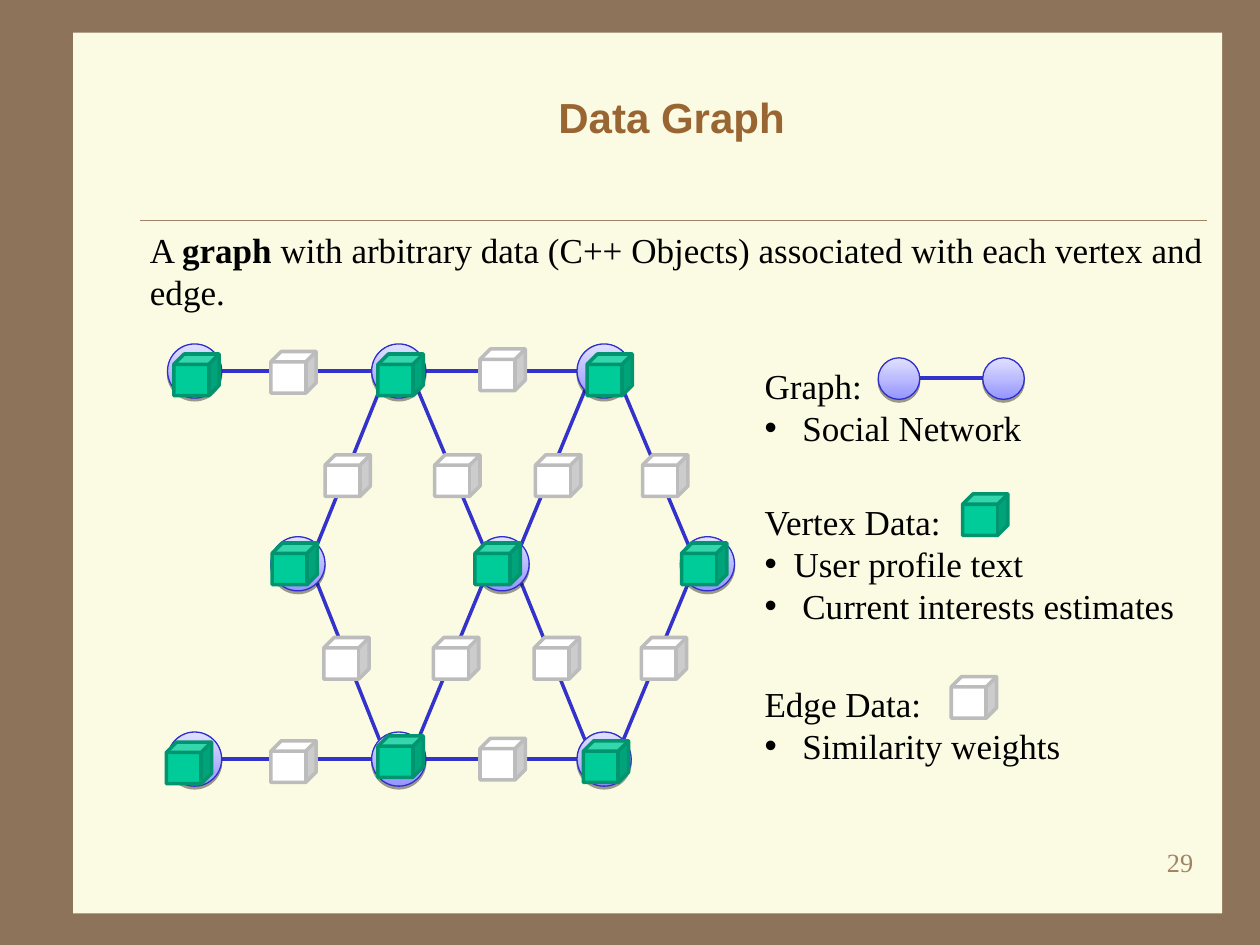
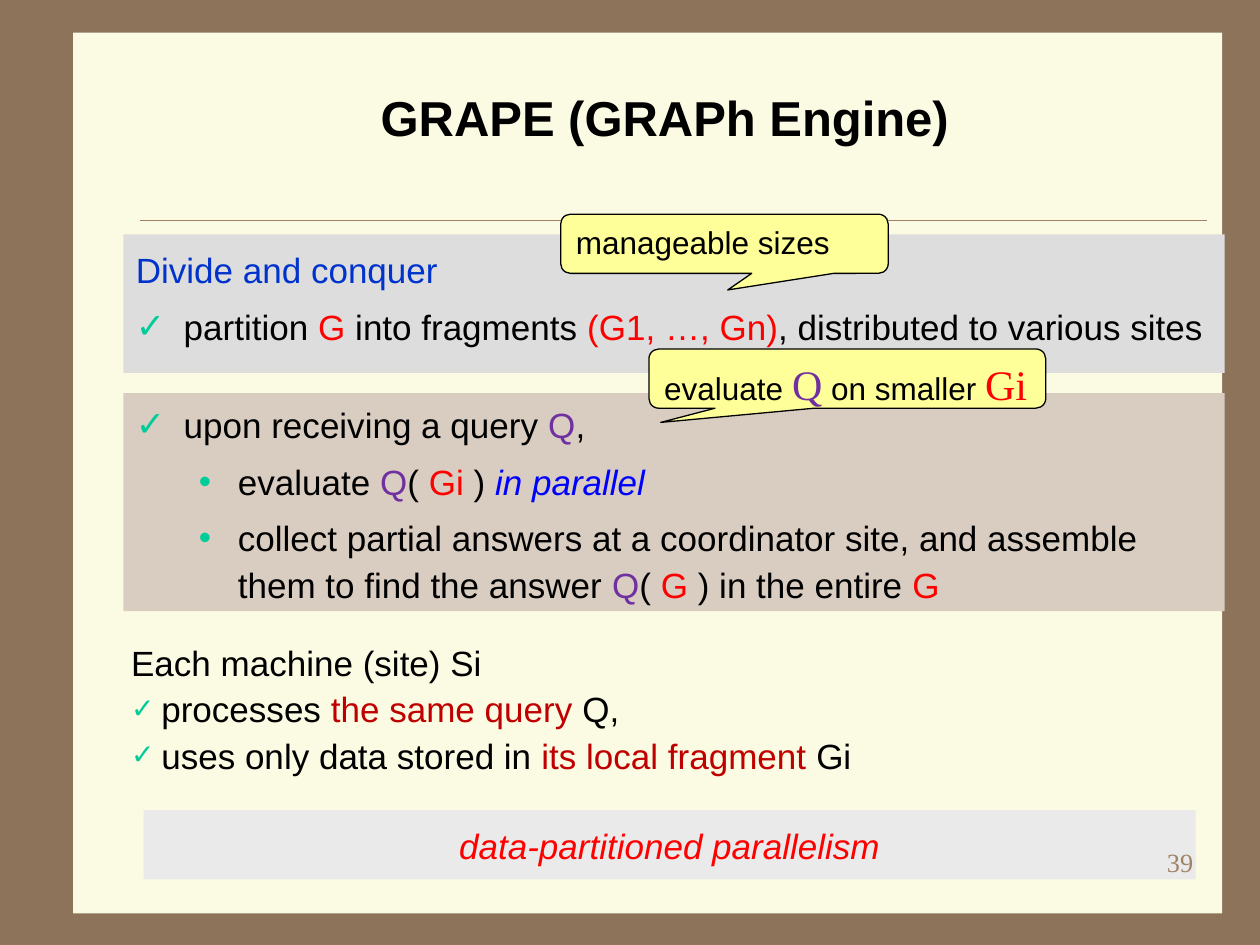
import math

import pptx
import pptx.dml.color
import pptx.enum.shapes
import pptx.enum.text
import pptx.oxml.ns
import pptx.util
from lxml import etree

Inches = pptx.util.Inches
Pt = pptx.util.Pt
SHAPE = pptx.enum.shapes.MSO_SHAPE
ALIGN = pptx.enum.text.PP_ALIGN
ANCHOR = pptx.enum.text.MSO_ANCHOR

# Shared palette and text styles
BACKDROP, PAPER, TAN = "8C735A", "FBFAE2", "A08366"
BLACK, RED, DARK_RED, PURPLE = "000000", "FF0000", "C00000", "7030A0"
BLUE, EDGE_BLUE, RIM_BLUE, MINT = "0000FF", "3333CC", "2E2ECB", "00CC99"
VERTEX_CUBE, EDGE_CUBE = (MINT, "00956F"), ("FFFFFF", "BCBCBC")

SERIF = {"name": "Times New Roman", "size": 20, "color": BLACK}
SANS = {"name": "Arial", "size": 20, "color": BLACK}
TITLE = {"name": "Arial", "bold": True}
DOT = {"char": "•", "color": BLACK}
MINT_DOT = {"char": "•", "color": MINT}
CHECK = {"char": "✓", "color": MINT}
SMALL_CHECK = {"char": "✓", "color": MINT, "percent": 80}

# Vertex grid
NODE = 0.43
ROW_TOPS = (2.73, 4.26, 5.81)
OUTER_LEFTS, MIDDLE_LEFTS = (1.33, 2.95, 4.58), (2.15, 3.77, 5.4)


def colour(value):
    return pptx.dml.color.RGBColor.from_string(value)


def add_element(parent, tag, **attributes):
    return etree.SubElement(parent, pptx.oxml.ns.qn("a:" + tag), attributes)


# Text
def item(*runs, **layout):
    """One paragraph: its runs and its layout."""
    return {"runs": runs, **layout}


def set_bullet(para, bullet, left, hang):
    props = para._p.get_or_add_pPr()
    props.set("marL", str(Inches(left)))
    props.set("indent", str(Inches(-hang)))
    if not bullet:
        add_element(props, "buNone")
        return
    add_element(add_element(props, "buClr"), "srgbClr", val=bullet["color"])
    if "percent" in bullet:
        add_element(props, "buSzPct", val=str(bullet["percent"] * 1000))
    add_element(props, "buFont", typeface="Arial")
    add_element(props, "buChar", char=bullet["char"])


def add_span(para, text, style):
    span = para.add_run()
    span.text = text
    for key, value in style.items():
        if key == "color":
            span.font.color.rgb = colour(value)
        else:
            setattr(span.font, key, Pt(value) if key == "size" else value)


def write(box, items, style, side=0.1, anchor=ANCHOR.TOP):
    frame = box.text_frame
    settings = {
        "word_wrap": True, "auto_size": pptx.enum.text.MSO_AUTO_SIZE.NONE,
        "vertical_anchor": anchor,
        "margin_left": Inches(side), "margin_right": Inches(side),
        "margin_top": Inches(0.05), "margin_bottom": Inches(0.05),
    }
    for key, value in settings.items():
        setattr(frame, key, value)
    for index, entry in enumerate(items):
        para = frame.add_paragraph() if index else frame.paragraphs[0]
        left = entry.get("left", 0)
        set_bullet(para, entry.get("bullet"), left, entry.get("hang", left))
        para.level = entry.get("level", 0)
        para.alignment = entry.get("align", ALIGN.LEFT)
        para.line_spacing = entry.get("spacing", 1.0)
        para.space_before = Pt(entry.get("before", 0) if index else 0)
        for run in entry["runs"]:
            text, changes = (run, {}) if isinstance(run, str) else run
            add_span(para, text, {**style, **changes})


def place(box, left, top, width, height):
    sides = {"left": left, "top": top, "width": width, "height": height}
    for key, value in sides.items():
        setattr(box, key, Inches(value))


def add_text(page, at, items, style, **options):
    box = page.shapes.add_textbox(*map(Inches, at))
    write(box, items, style, **options)


# Shapes
def add_block(page, kind, at, fill, line=None, weight=0.75):
    block = page.shapes.add_shape(kind, *map(Inches, at))
    block.shadow.inherit = False
    block.fill.solid()
    block.fill.fore_color.rgb = colour(fill)
    if line:
        block.line.color.rgb = colour(line)
        block.line.width = Pt(weight)
    else:
        block.line.fill.background()
    return block


def add_line(page, start, end, line=EDGE_BLUE, weight=2):
    connector = page.shapes.add_connector(
        pptx.enum.shapes.MSO_CONNECTOR.STRAIGHT,
        *map(Inches, (*start, *end)))
    connector.line.color.rgb = colour(line)
    connector.line.width = Pt(weight)
    add_element(connector.element.spPr, "effectLst")
    return connector


def add_vertex(page, left, top, size=NODE):
    ball = add_block(page, SHAPE.OVAL, (left, top, size, size), PAPER, RIM_BLUE)
    ball.fill.gradient()
    ball.fill.gradient_angle = 90
    for stop, position, tint in zip(
            ball.fill.gradient_stops, (0, 1), ("9595FF", "E1E1FF")):
        stop.position = position
        stop.color.rgb = colour(tint)
    effects = ball.element.spPr.find(pptx.oxml.ns.qn("a:effectLst"))
    shadow = add_element(effects, "outerShdw", blurRad="0",
                         dist=str(Pt(1.6)), dir="5400000", rotWithShape="0")
    tone = add_element(shadow, "srgbClr", val=BLACK)
    add_element(tone, "alpha", val="38000")


def add_cube(page, left, top, colours):
    fill, line = colours
    add_block(page, SHAPE.CUBE, (left, top, 0.36, 0.33), fill, line, 2)


def add_panel(page, at, fill, items, style=SANS):
    panel = add_block(page, SHAPE.RECTANGLE, at, fill)
    write(panel, items, style)


def add_callout(page, at, tip, runs):
    callout = add_block(page, SHAPE.ROUNDED_RECTANGULAR_CALLOUT, at,
                        "FFFF99", BLACK)
    for index, value in enumerate((*tip, 0.167)):
        callout.adjustments[index] = value
    write(callout, [item(*runs)], {**SANS, "size": 18})


# Frame shared by both slides
def add_page(deck, layout, title, size, title_colour):
    page = deck.slides.add_slide(layout)
    add_block(page, SHAPE.RECTANGLE, (0.58, 0.26, 9.12, 6.99), PAPER)
    rule = add_line(page, (1.11, 1.75), (9.58, 1.75), TAN, 0.25)
    for holder in page.placeholders:
        rule.element.addnext(holder.element)
    heading = page.shapes.title
    place(heading, 1.08, 0.5, 8.5, 0.9)
    write(heading, [item(title, align=ALIGN.CENTER, spacing=0.93)],
          {**TITLE, "size": size, "color": title_colour},
          side=0.11, anchor=ANCHOR.MIDDLE)
    return page


def add_number(page, number):
    add_text(page, (7.5, 6.67, 2.08, 0.5), [item(number, align=ALIGN.RIGHT)],
             {**SERIF, "size": 15, "color": TAN}, side=0.11)


def join(page, first, second):
    """Link the rims of two vertices given by their left and top."""
    across, down = (math.copysign(1, b - a) if a != b else 0
                    for a, b in zip(first, second))
    reach = NODE / 2 / math.hypot(across, down)
    ends = [(left + NODE / 2 + sign * reach * across,
             top + NODE / 2 + sign * reach * down)
            for (left, top), sign in ((first, 1), (second, -1))]
    add_line(page, *ends)


def draw_network(page):
    upper, middle, lower = (
        [(left, top) for left in lefts] for lefts, top in
        zip((OUTER_LEFTS, MIDDLE_LEFTS, OUTER_LEFTS), ROW_TOPS))
    for row in (upper, lower):
        for column in (1, 2):
            join(page, row[column - 1], row[column])
            join(page, row[column], middle[column - 1])
            join(page, row[column], middle[column])
    for vertex in upper + middle + lower:
        add_vertex(page, *vertex)
    for cube in ((1.38, 2.81), (3, 2.81), (4.66, 2.81),
                 (2.16, 4.31), (3.77, 4.31), (5.41, 4.31),
                 (1.32, 5.89), (3, 5.84), (4.63, 5.88)):
        add_cube(page, *cube, VERTEX_CUBE)
    for top in (2.79, 5.88):
        add_cube(page, 2.15, top, EDGE_CUBE)
        add_cube(page, 3.81, top - 0.02, EDGE_CUBE)
    for left in (2.58, 3.45, 4.25, 5.1):
        add_cube(page, left, 3.61, EDGE_CUBE)
        add_cube(page, left - 0.01, 5.06, EDGE_CUBE)


def build_data_graph(deck):
    page = add_page(deck, deck.slide_layouts[1], "Data Graph", 24, "996633")
    intro = page.placeholders[1]
    place(intro, 1.09, 1.76, 8.69, 0.77)
    write(intro, [item(
        "A ", ("graph ", {"bold": True}),
        "with arbitrary data (C++ Objects) associated with each vertex "
        "and edge.")], SERIF)
    draw_network(page)

    # Legend
    legend = (
        (2.84, "Graph:", [("Social Network", 0.3)]),
        (3.92, "Vertex Data:", [("User profile text", 0.23),
                                ("Current interests estimates", 0.3)]),
        (5.37, "Edge Data:", [("Similarity weights", 0.3)]),
    )
    for top, label, examples in legend:
        items = [item(label)]
        items += [item(text, bullet=DOT, left=left) for text, left in examples]
        add_text(page, (5.97, top, 4, 0.43 + 0.33 * len(examples)),
                 items, SERIF)
    add_line(page, (7.3, 3), (7.8, 3))
    for left in (6.97, 7.8):
        add_vertex(page, left, 2.84, 0.33)
    add_cube(page, 7.64, 3.92, VERTEX_CUBE)
    add_cube(page, 7.55, 5.37, EDGE_CUBE)
    add_number(page, "29")


def build_grape(deck):
    page = add_page(deck, deck.slide_layouts[1], "GRAPE (GRAPh Engine) ", 28,
                    BLACK)
    red, purple, dark_red = ({"color": c} for c in (RED, PURPLE, DARK_RED))
    query = ("Q", purple)
    check = {"bullet": CHECK, "left": 0.38, "spacing": 1.1, "before": 6}
    step = {"bullet": MINT_DOT, "left": 0.81, "hang": 0.31, "level": 1,
            "spacing": 1.1, "before": 6}

    # Strategy panels and their callouts
    add_panel(page, (0.98, 1.86, 8.74, 1.1), "DDDDDD", [
        item(("Divide and conquer", {"color": "0033CC"}),
             left=0.38, spacing=1.2),
        item("partition ", ("G ", red), "into fragments ",
             ("(G1, …, Gn)", red), ", distributed to various sites", **check),
    ])
    add_callout(page, (4.45, 1.7, 2.6, 0.47), (0.01, 0.78),
                ["manageable sizes"])
    add_panel(page, (0.98, 3.12, 8.74, 1.73), "D9CDC2", [
        item("upon receiving a query ", query, ",", **check),
        item("evaluate ", query, "( ", ("Gi ", red), ") ",
             ("in parallel", {"color": BLUE, "italic": True}), **step),
        item("collect partial answers at a coordinator site, and assemble "
             "them to find the answer ", query, "( ", ("G ", red),
             ") in the entire ", ("G", red), **step),
    ])
    large = {"name": "Times New Roman", "size": 24}
    add_callout(page, (5.15, 2.77, 3.15, 0.47), (-0.47, 0.74),
                ["evaluate ", ("Q", {**large, **purple}), " on smaller ",
                 ("Gi", {**large, **red})])

    # Role of each machine
    duty = {"bullet": SMALL_CHECK, "left": 0.24, "spacing": 1.1}
    machine = page.placeholders[1]
    place(machine, 0.94, 5.01, 8.94, 1.26)
    write(machine, [
        item("Each machine (site) Si", spacing=1.1),
        item("processes ", ("the same query ", dark_red), "Q,", **duty),
        item("uses only data stored in ", ("its local fragment ", dark_red),
             "Gi", **duty),
    ], SANS)
    add_panel(page, (1.14, 6.43, 8.35, 0.55), "EAEAEA", [
        item("data-partitioned parallelism", align=ALIGN.CENTER, spacing=1.2),
    ], {**SANS, **red, "italic": True})
    add_number(page, "39")


def main():
    deck = pptx.Presentation()
    deck.slide_width, deck.slide_height = Inches(10), Inches(7.5)
    backdrop = deck.slide_master.background.fill
    backdrop.solid()
    backdrop.fore_color.rgb = colour(BACKDROP)
    build_data_graph(deck)
    build_grape(deck)
    deck.save("out.pptx")


if __name__ == "__main__":
    main()
